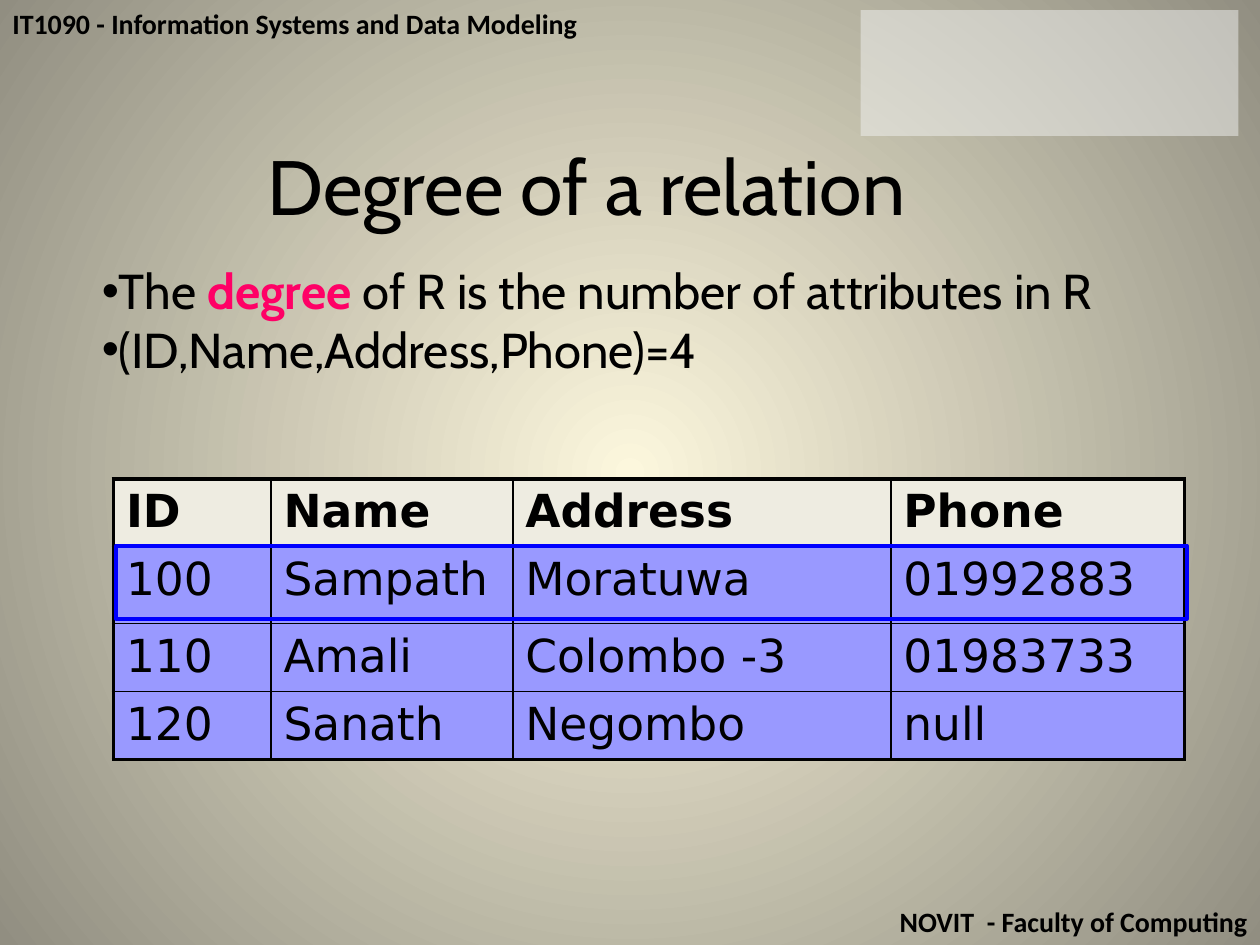
from lxml import etree
from pptx import Presentation
from pptx.dml.color import RGBColor
from pptx.enum import shapes, text
from pptx.oxml import ns
from pptx.util import Inches, Pt

BLACK = RGBColor(0, 0, 0)
PINK = RGBColor(0xFF, 0x00, 0x66)
BLUE = RGBColor(0x00, 0x00, 0xFF)
LILAC = RGBColor(0x99, 0x99, 0xFF)
IVORY = RGBColor(0xEE, 0xEC, 0xE1)
PALE = RGBColor(0xF2, 0xF2, 0xF2)
CREAM = RGBColor(0xFC, 0xF7, 0xDD)
TAUPE = RGBColor(0x91, 0x8E, 0x81)

COURSE = "IT1090 - Information Systems and Data Modeling"
FACULTY = "NOVIT  - Faculty of Computing"
TITLE = "Degree of a relation"
BULLETS = [
    [("The ", BLACK, False), ("degree", PINK, True),
     (" of R is the number of attributes in R", BLACK, False)],
    [("(ID,Name,Address,Phone)=4", BLACK, False)],
]
ROWS = [
    ("ID", "Name", "Address", "Phone"),
    ("100", "Sampath", "Moratuwa", "01992883"),
    ("110", "Amali", "Colombo -3", "01983733"),
    ("120", "Sanath", "Negombo", "null"),
]
COL_WIDTHS = [1.25, 1.92, 3, 2.33]
ROW_HEIGHTS = [0.54, 0.61, 0.54, 0.54]
LEFT, CENTER, RIGHT = text.PP_ALIGN.LEFT, text.PP_ALIGN.CENTER, text.PP_ALIGN.RIGHT


def sub(parent, tag, **attrs):
    return etree.SubElement(parent, ns.qn(tag), {k: str(v) for k, v in attrs.items()})


def add_run(p, words, size, font, color=BLACK, bold=False):
    r = p.add_run()
    r.text = words
    r.font.size = Pt(size)
    r.font.name = font
    r.font.bold = bold
    r.font.color.rgb = color


def add_text(s, box, paragraphs, size, font, align=LEFT, bullet=False):
    tf = s.shapes.add_textbox(*map(Inches, box)).text_frame
    tf.word_wrap = True
    for i, runs in enumerate(paragraphs):
        p = tf.add_paragraph() if i else tf.paragraphs[0]
        p.alignment = align
        if bullet:
            pPr = p._p.get_or_add_pPr()
            pPr.set("marL", str(Inches(0.13)))
            pPr.set("indent", str(Inches(-0.13)))
            sub(pPr, "a:buFont", typeface="Arial")
            sub(pPr, "a:buChar", char="•")
        for words, color, bold in runs:
            add_run(p, words, size, font, color, bold)


def add_rect(s, box):
    sp = s.shapes.add_shape(shapes.MSO_SHAPE.RECTANGLE, *map(Inches, box))
    sp.shadow.inherit = False
    return sp


def set_borders(cell, widths):
    tcPr = cell._tc.get_or_add_tcPr()
    for i, (side, width) in enumerate(zip("LRTB", widths)):
        ln = sub(tcPr, f"a:ln{side}", w=Pt(width))
        sub(sub(ln, "a:solidFill"), "a:srgbClr", val=BLACK)
        tcPr.insert(i, ln)


def set_background(s):
    fill = s.background.fill
    fill.gradient()
    for stop, color, position in zip(fill.gradient_stops, (CREAM, TAUPE), (0, 1)):
        stop.color.rgb = color
        stop.position = position
    lin = next(s.element.iter(ns.qn("a:lin")))
    grad = lin.getparent()
    grad.remove(lin)
    circle = sub(grad, "a:path", path="circle")
    sub(circle, "a:fillToRect", l=50000, t=50000, r=50000, b=50000)


def add_relation(s):
    frame = s.shapes.add_table(len(ROWS), len(COL_WIDTHS), Inches(0.9), Inches(3.8),
                               Inches(sum(COL_WIDTHS)), Inches(sum(ROW_HEIGHTS)))
    table = frame.table
    table.horz_banding = False
    for col, width in zip(table.columns, COL_WIDTHS):
        col.width = Inches(width)
    for row, height in zip(table.rows, ROW_HEIGHTS):
        row.height = Inches(height)
    last_row, last_col = len(ROWS) - 1, len(COL_WIDTHS) - 1
    for i, values in enumerate(ROWS):
        for j, value in enumerate(values):
            cell = table.cell(i, j)
            cell.fill.solid()
            cell.fill.fore_color.rgb = LILAC if i else IVORY
            outer = (j == 0, j == last_col, i == 0, i == last_row)
            set_borders(cell, [2.25 if edge else 1 for edge in outer])
            add_run(cell.text_frame.paragraphs[0], value, 26, "DejaVu Sans", bold=i == 0)


def main():
    prs = Presentation()
    prs.slide_width, prs.slide_height = Inches(10), Inches(7.5)
    s = prs.slides.add_slide(prs.slide_layouts[6])
    set_background(s)

    add_text(s, (0, 0, 10, 0.37), [[(COURSE, BLACK, True)]], 16, "Calibri")
    add_text(s, (0, 7.13, 10, 0.37), [[(FACULTY, BLACK, True)]], 16, "Calibri", RIGHT)

    panel = add_rect(s, (6.83, 0.08, 3, 1))
    panel.fill.solid()
    panel.fill.fore_color.rgb = PALE
    sub(next(panel.element.spPr.iter(ns.qn("a:srgbClr"))), "a:alpha", val=50000)
    panel.line.fill.background()

    add_text(s, (1.17, 1.05, 6.97, 1.41), [[(TITLE, BLACK, False)]], 44, "Cabin", CENTER)
    add_text(s, (0.71, 2.02, 9.29, 4.45), BULLETS, 28, "Cabin", bullet=True)
    add_relation(s)

    highlight = add_rect(s, (0.92, 4.33, 8.5, 0.58))
    highlight.fill.background()
    highlight.line.color.rgb = BLUE
    highlight.line.width = Pt(2.25)

    prs.save("out.pptx")


if __name__ == "__main__":
    main()
